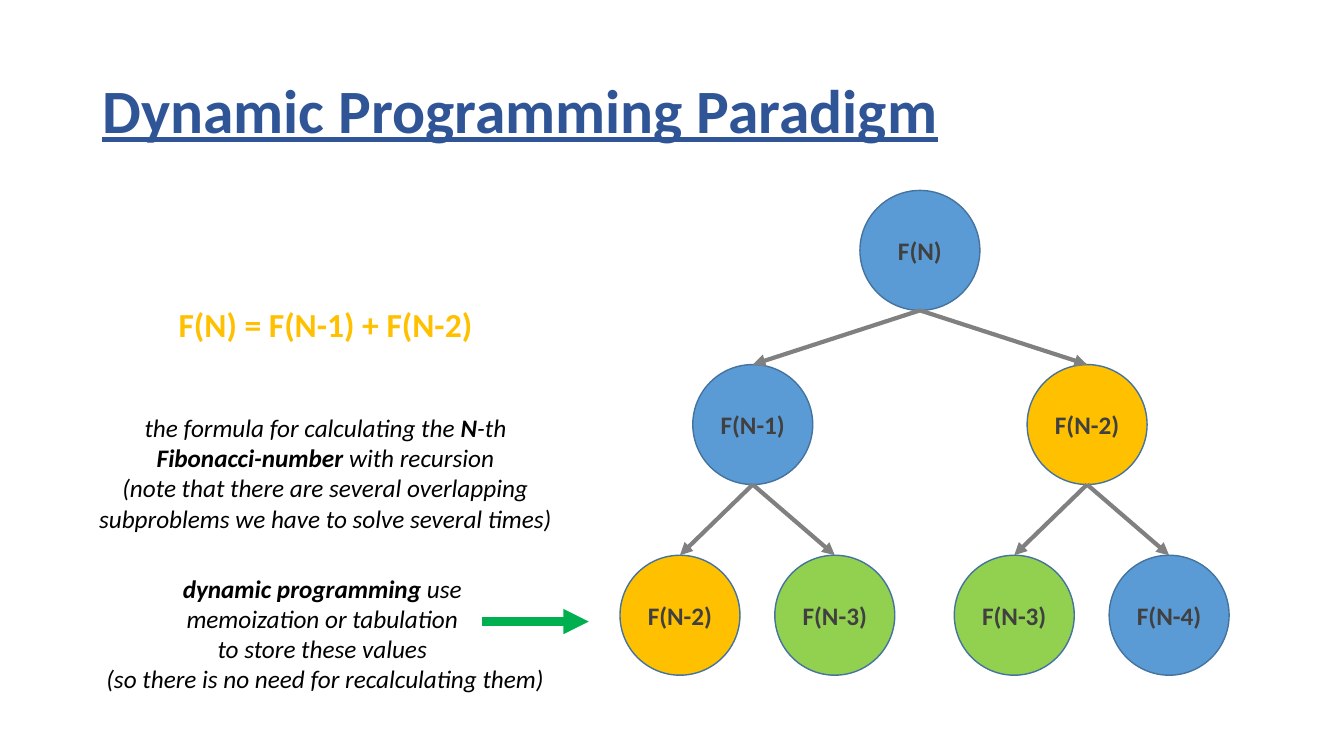
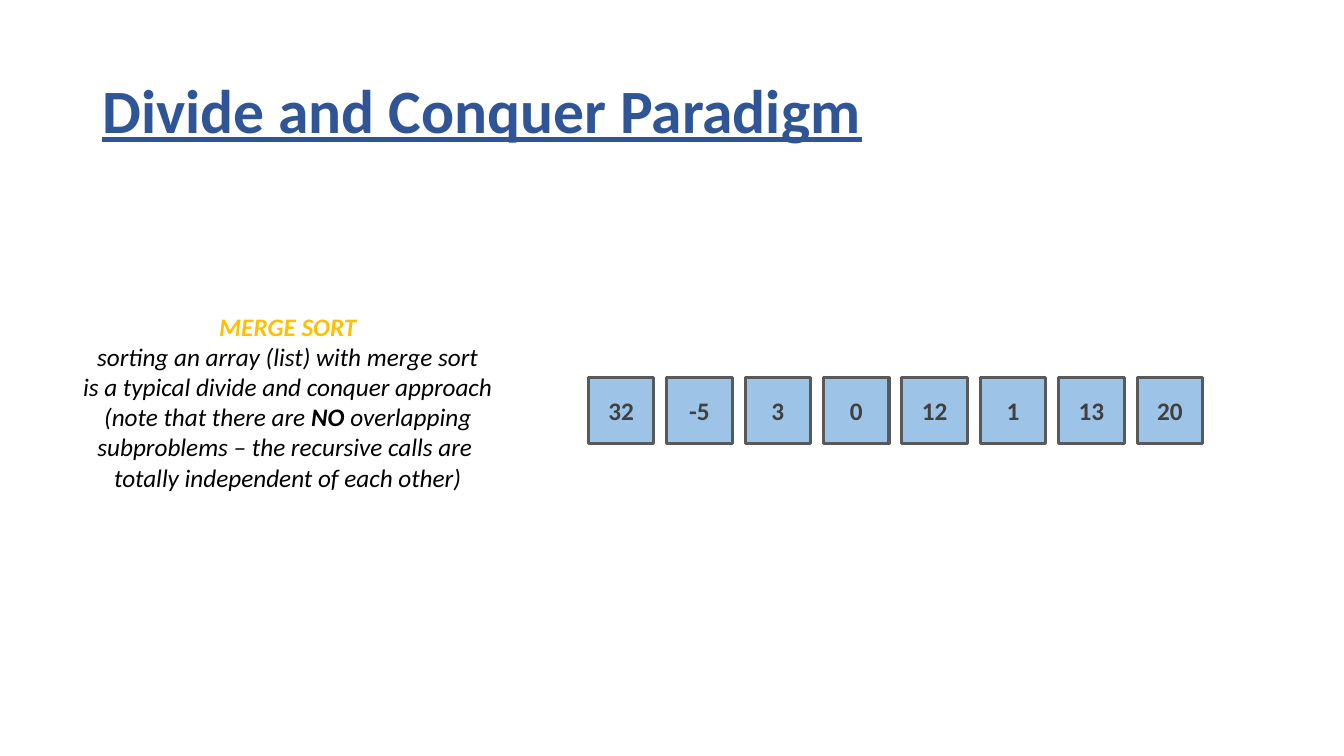
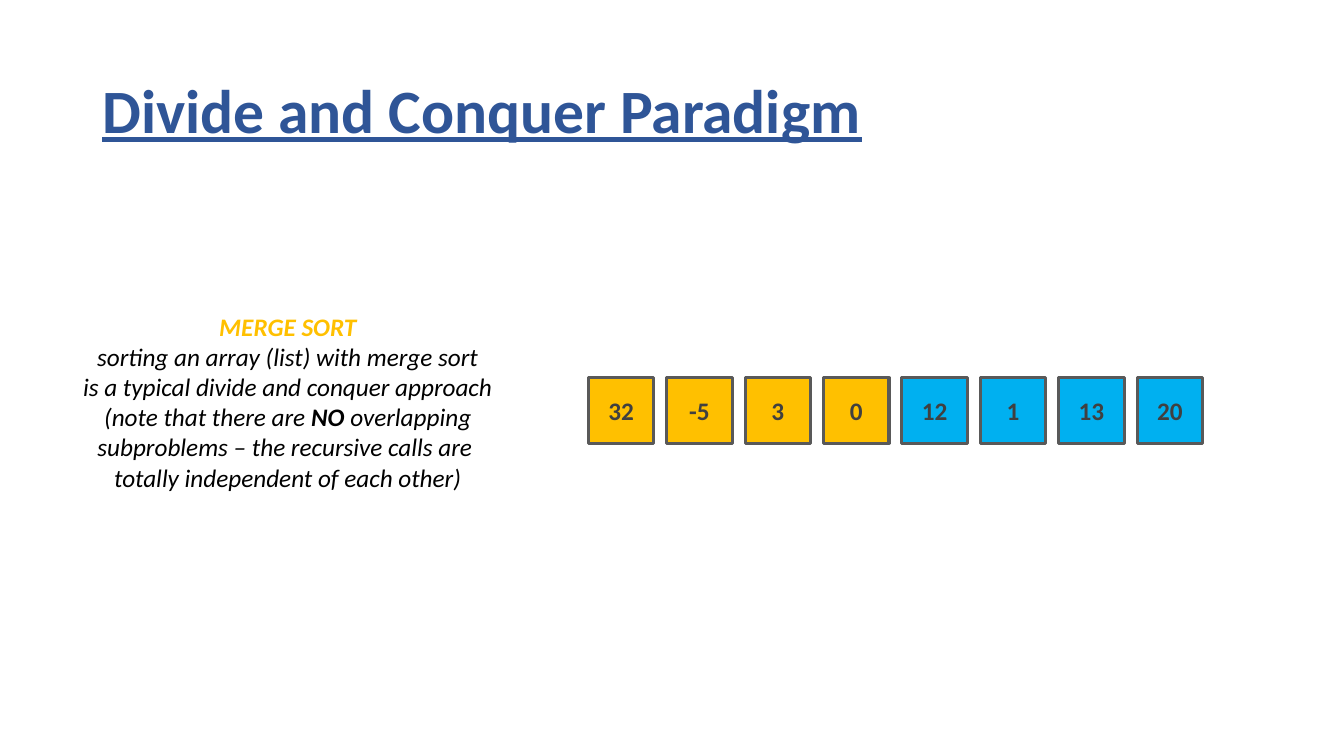
from dataclasses import dataclass

from pptx import Presentation
from pptx.dml.color import RGBColor
from pptx.enum import shapes, text
from pptx.oxml.ns import qn
from pptx.util import Pt


@dataclass(frozen=True)
class Theme:
    font: str = "Calibri"
    title: str = "2F5597"
    body: str = "000000"
    label: str = "404040"
    gold: str = "FFC000"
    blue: str = "5B9BD5"
    green: str = "92D050"
    pale: str = "9DC3E6"
    cyan: str = "00B0F0"
    node_line: str = "43739E"
    cell_line: str = "595959"
    edge: str = "808080"
    pointer: str = "00B050"
    title_size: int = 44
    formula_size: int = 24
    body_size: int = 18


T = Theme()

# Text between ** marks is bold.
FORMULA = ["**F(N) = F(N-1) + F(N-2)**"]
RECURSION = [
    "the formula for calculating the **N**-th",
    "**Fibonacci-number** with recursion",
    "(note that there are several overlapping",
    "subproblems we have to solve several times)",
]
MEMOIZATION = [
    "**dynamic programming** use ",
    "memoization or tabulation ",
    "to store these values ",
    "(so there is no need for recalculating them)",
]
MERGE_SORT = [
    "**MERGE SORT**",
    "sorting an array (list) with merge sort",
    "is a typical divide and conquer approach",
    "(note that there are **NO **overlapping",
    "subproblems – the recursive calls are ",
    "totally independent of each other)",
]
# Each node: label, fill, children
CALLS = ("F(N)", T.blue, [
    ("F(N-1)", T.blue, [("F(N-2)", T.gold, []), ("F(N-3)", T.green, [])]),
    ("F(N-2)", T.gold, [("F(N-3)", T.green, []), ("F(N-4)", T.blue, [])]),
])
ARRAY = [32, -5, 3, 0, 12, 1, 13, 20]
ARRAY_FILLS = [[T.pale] * 8, [T.gold] * 4 + [T.cyan] * 4]

ROOT_X = 657.1
ROW_TOPS = [136, 260.4, 396.6]
CHILD_OFFSETS = [(-119.4, 119.4), (-52, 58.6)]
NODE = 85.7
CELL, CELL_PITCH, CELL_LEFT, CELL_TOP = 46.8, 56, 420.2, 269.8


def rgb(color):
    return RGBColor.from_string(color)


def style(r, size, color, bold=False, italic=False):
    f = r.font
    f.name, f.size, f.bold, f.italic = T.font, Pt(size), bold, italic
    f.color.rgb = rgb(color)


def add_title(s, title):
    tf = s.shapes.add_textbox(Pt(66), Pt(28.8), Pt(828), Pt(104.4)).text_frame
    tf.word_wrap = True
    tf.vertical_anchor = text.MSO_ANCHOR.MIDDLE
    p = tf.paragraphs[0]
    p.text = title
    p.line_spacing = 0.9
    style(p.runs[0], T.title_size, T.title, bold=True)
    p.runs[0].font.underline = True


def add_lines(s, lines, box, size=T.body_size, italic=True, first=T.body):
    """Centred lines; the first line may have its own colour."""
    tf = s.shapes.add_textbox(*map(Pt, box)).text_frame
    tf.word_wrap = False
    tf.auto_size = text.MSO_AUTO_SIZE.SHAPE_TO_FIT_TEXT
    for i, line in enumerate(lines):
        p = tf.add_paragraph() if i else tf.paragraphs[0]
        p.alignment = text.PP_ALIGN.CENTER
        for j, part in enumerate(line.split("**")):
            if part:
                r = p.add_run()
                r.text = part
                style(r, size, T.body if i else first, j % 2 == 1, italic)


def add_labelled(s, kind, left, top, side, label, fill, line, width):
    sp = s.shapes.add_shape(kind, Pt(left), Pt(top), Pt(side), Pt(side))
    sp.shadow.inherit = False
    sp.fill.solid()
    sp.fill.fore_color.rgb = rgb(fill)
    sp.line.color.rgb = rgb(line)
    sp.line.width = Pt(width)
    tf = sp.text_frame
    tf.margin_left = tf.margin_right = 0
    tf.word_wrap = False
    tf.vertical_anchor = text.MSO_ANCHOR.MIDDLE
    p = tf.paragraphs[0]
    p.text = str(label)
    p.alignment = text.PP_ALIGN.CENTER
    style(p.runs[0], T.body_size, T.label, bold=True)
    return sp


def add_arrow(s, ends, color, width):
    c = s.shapes.add_connector(shapes.MSO_CONNECTOR.STRAIGHT, *map(Pt, ends))
    c.line.color.rgb = rgb(color)
    c.line.width = Pt(width)
    ln = c.line._get_or_add_ln()
    ln.append(ln.makeelement(qn("a:tailEnd"), {"type": "triangle"}))
    sp_pr = c._element.spPr
    sp_pr.append(sp_pr.makeelement(qn("a:effectLst"), {}))
    return c


def add_calls(s, call, x=ROOT_X, depth=0):
    """Draw a call, then its subcalls and the arrows to them."""
    label, fill, children = call
    top = ROW_TOPS[depth]
    node = add_labelled(s, shapes.MSO_SHAPE.OVAL, x - NODE / 2, top, NODE,
                        label, fill, T.node_line, 1)
    if children:
        for child, dx in zip(children, CHILD_OFFSETS[depth]):
            child_node = add_calls(s, child, x + dx, depth + 1)
            ends = (x, top + NODE, x + dx, ROW_TOPS[depth + 1])
            c = add_arrow(s, ends, T.edge, 3)
            c.begin_connect(node, 2)
            # An ellipse has eight sites; its bottom one is number 4.
            next(c._element.iter(qn("a:stCxn"))).set("idx", "4")
            c.end_connect(child_node, 0)
    return node


def add_array(s, fills):
    for i, (value, fill) in enumerate(zip(ARRAY, fills)):
        add_labelled(s, shapes.MSO_SHAPE.RECTANGLE, CELL_LEFT + i * CELL_PITCH,
                     CELL_TOP, CELL, value, fill, T.cell_line, 2.25)


def main():
    prs = Presentation()
    prs.slide_width, prs.slide_height = Pt(960), Pt(540)

    def new_slide(title):
        s = prs.slides.add_slide(prs.slide_layouts[6])
        add_title(s, title)
        return s

    s = new_slide("Dynamic Programming Paradigm")
    add_lines(s, FORMULA, (119.5, 213.8, 226, 36), T.formula_size,
              italic=False, first=T.gold)
    add_lines(s, RECURSION, (62, 290.9, 341, 94.5))
    add_calls(s, CALLS)
    add_arrow(s, (344.2, 444, 420.5, 444), T.pointer, 6)
    add_lines(s, MEMOIZATION, (67, 405.7, 330.5, 94.5))

    for fills in ARRAY_FILLS:
        s = new_slide("Divide and Conquer Paradigm")
        add_array(s, fills)
        add_lines(s, MERGE_SORT, (50.4, 218.5, 310.3, 138), first=T.gold)

    prs.save("out.pptx")


if __name__ == "__main__":
    main()
